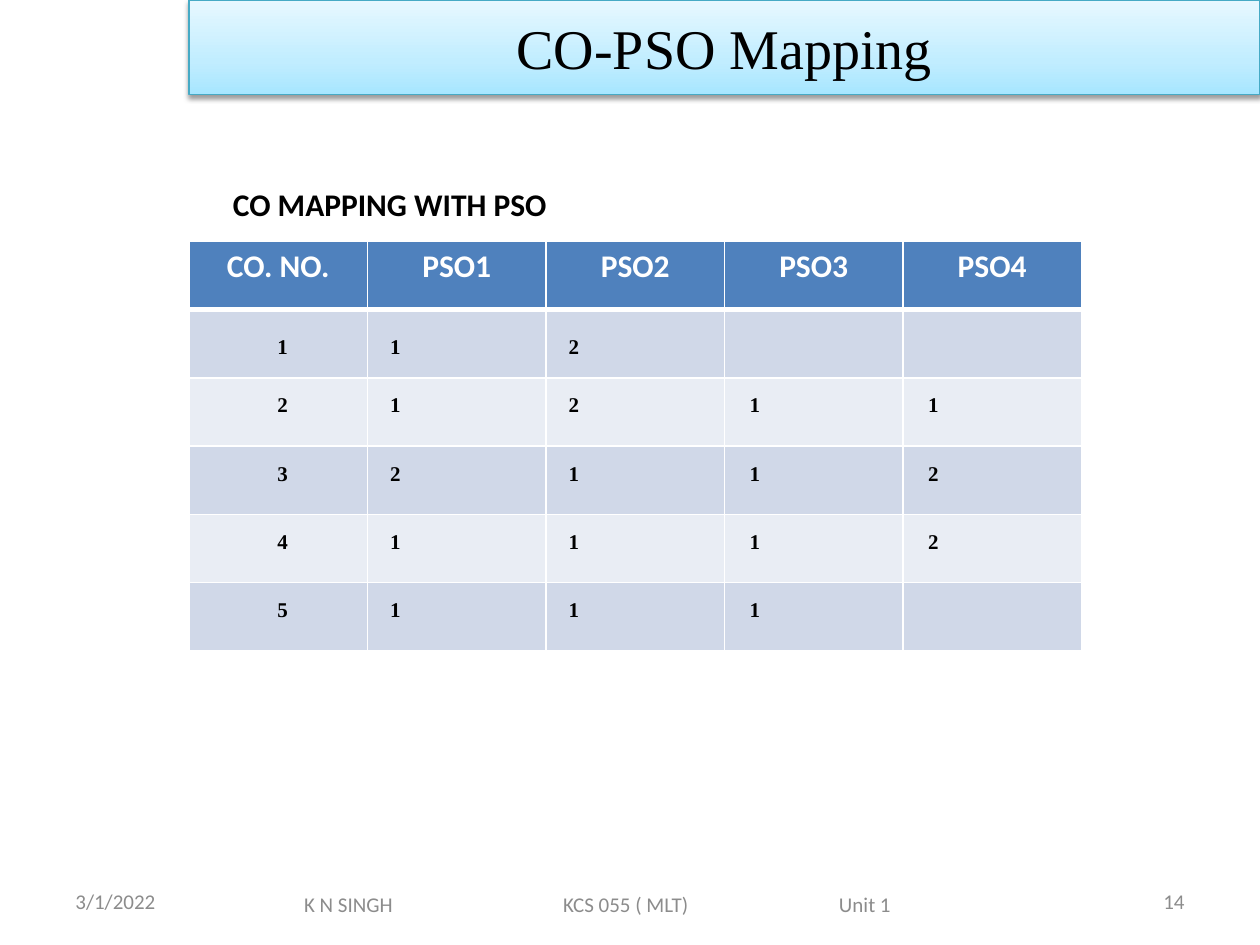
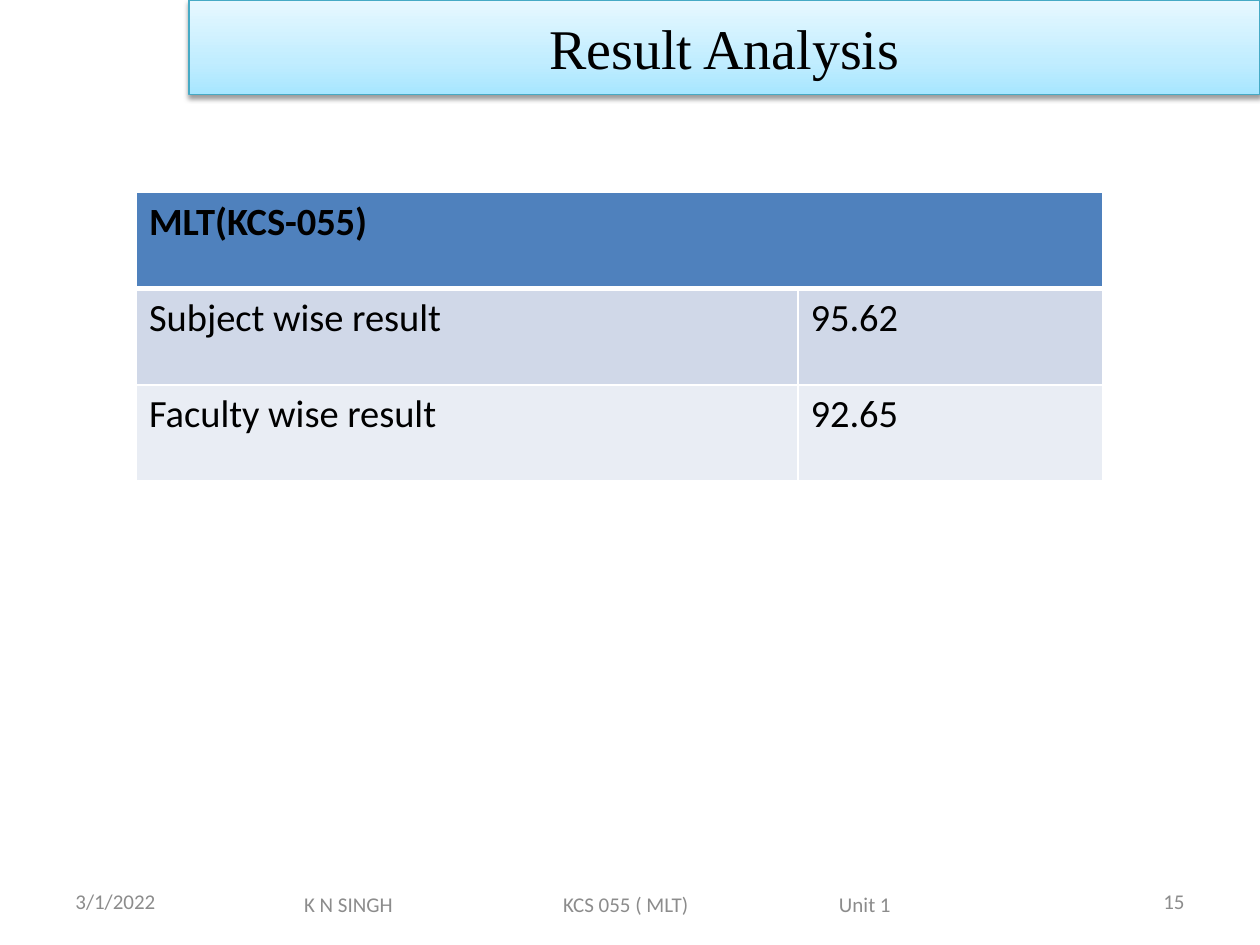
from copy import deepcopy
from dataclasses import dataclass

from lxml import etree
from pptx import Presentation
from pptx.dml.color import RGBColor
from pptx.enum.shapes import MSO_SHAPE
from pptx.enum.text import MSO_ANCHOR, PP_ALIGN
from pptx.oxml.ns import qn
from pptx.util import Pt

RECT = MSO_SHAPE.RECTANGLE
MIDDLE, TOP = MSO_ANCHOR.MIDDLE, MSO_ANCHOR.TOP
LEFT, CENTER, RIGHT = PP_ALIGN.LEFT, PP_ALIGN.CENTER, PP_ALIGN.RIGHT

HEX = {
    "ink": "000000", "white": "FFFFFF", "muted": "8C8C8C", "edge": "46AAC5",
    "head": "4F81BD", "odd": "D0D8E8", "even": "E9EDF4",
    "low": "A7E6FF", "mid": "C1EDFF", "high": "E7F8FF",
}
BAND = ((0, "low"), (0.35, "mid"), (1, "high"))
SANS, SERIF = "Calibri", "Times New Roman"


@dataclass(frozen=True)
class Style:
    size: float
    color: str = "ink"
    face: str = SANS
    bold: bool = False
    align: PP_ALIGN = LEFT


@dataclass(frozen=True)
class Label:
    text: str
    box: tuple[float, float, float, float]
    style: Style
    anchor: MSO_ANCHOR = MIDDLE
    inset: float = 7.2
    tabs: tuple[float, ...] = ()


@dataclass(frozen=True)
class Grid:
    rows: tuple[tuple[str, ...], ...]
    left: float
    top: float
    widths: tuple[float, ...]
    height: float
    head: Style
    body: Style


TITLE = Style(32, face=SERIF, align=CENTER)
NOTE = Style(12, "muted")
PAGE = Style(12, "muted", align=RIGHT)

FOOT = (
    Label("3/1/2022", (36, 500.5, 168, 28.75), NOTE),
    Label("K N SINGH\tKCS 055 ( MLT)\tUnit 1", (108, 504, 468, 25.2), NOTE,
          inset=65.75, tabs=(148, 305.7)),
)
HEADING = Label("CO MAPPING WITH PSO", (126, 102, 327.6, 30),
                Style(18, bold=True), TOP)

MAPPING = Grid(
    (("CO. NO.", "PSO1", "PSO2", "PSO3", "PSO4"),
     ("1", "1", "2", "", ""),
     ("2", "1", "2", "1", "1"),
     ("3", "2", "1", "1", "2"),
     ("4", "1", "1", "1", "2"),
     ("5", "1", "1", "1", "")),
    108, 138, (102,) * 5, 39,
    Style(18, "white", bold=True, align=CENTER),
    Style(12, face=SERIF, bold=True))
RESULT = Grid(
    (("MLT(KCS-055)", ""),
     ("Subject wise result", "95.62"),
     ("Faculty wise result", "92.65")),
    78, 110, (378, 174), 55, Style(22, bold=True), Style(22))


def rgb(name: str) -> RGBColor:
    return RGBColor.from_string(HEX[name])


def write(frame, text: str, style: Style, tabs: tuple = ()) -> None:
    para = frame.paragraphs[0]
    para.text = text
    para.alignment = style.align
    if tabs:
        stops = etree.SubElement(para._p.get_or_add_pPr(), qn("a:tabLst"))
        for pos in tabs:
            etree.SubElement(stops, qn("a:tab"), pos=str(Pt(pos)), algn="l")
    font = para.font
    font.name, font.size, font.bold = style.face, Pt(style.size), style.bold
    font.color.rgb = rgb(style.color)


def put_label(slide, label: Label) -> None:
    frame = slide.shapes.add_textbox(*map(Pt, label.box)).text_frame
    frame.word_wrap = True
    frame.vertical_anchor = label.anchor
    frame.margin_left = Pt(label.inset)
    write(frame, label.text, label.style, label.tabs)


def put_title(slide, text: str) -> None:
    band = slide.shapes.add_shape(RECT, Pt(108), Pt(0), Pt(612), Pt(54))
    band.line.color.rgb = rgb("edge")
    band.line.width = Pt(0.75)
    # Three-stop gradient, running upward
    band.fill.gradient()
    band.fill.gradient_angle = 90
    props = band._element.spPr
    stops = props.find(".//" + qn("a:gsLst"))
    stops.append(deepcopy(stops[0]))
    for stop, (pos, name) in zip(band.fill.gradient_stops, BAND):
        stop.position = pos
        stop.color.rgb = rgb(name)
    # Soft shadow below
    band.shadow.inherit = False
    shade = etree.SubElement(
        props.find(qn("a:effectLst")), qn("a:outerShdw"),
        blurRad=str(Pt(3.1)), dist=str(Pt(1.6)), dir="5400000", rotWithShape="0")
    ink = etree.SubElement(shade, qn("a:srgbClr"), val=HEX["ink"])
    etree.SubElement(ink, qn("a:alpha"), val="38000")
    band.text_frame.vertical_anchor = MIDDLE
    write(band.text_frame, text, TITLE)


def edge_cell(cell, row: int) -> None:
    """Draw white cell borders, with a thick rule under the head row."""
    props = cell._tc.get_or_add_tcPr()
    thick = {"T": row == 1, "B": row == 0}
    for spot, side in enumerate("LRTB"):
        width = Pt(3 if thick.get(side) else 1)
        line = etree.Element(qn(f"a:ln{side}"), w=str(width))
        fill = etree.SubElement(line, qn("a:solidFill"))
        etree.SubElement(fill, qn("a:srgbClr"), val=HEX["white"])
        props.insert(spot, line)


def put_grid(slide, grid: Grid):
    count = len(grid.rows)
    table = slide.shapes.add_table(
        count, len(grid.widths), Pt(grid.left), Pt(grid.top),
        Pt(sum(grid.widths)), Pt(grid.height * count)).table
    for col, width in zip(table.columns, grid.widths):
        col.width = Pt(width)
    for r, texts in enumerate(grid.rows):
        table.rows[r].height = Pt(grid.height)
        for c, text in enumerate(texts):
            cell = table.cell(r, c)
            cell.fill.solid()
            cell.fill.fore_color.rgb = rgb(
                "head" if r == 0 else "odd" if r % 2 else "even")
            edge_cell(cell, r)
            if text:
                write(cell.text_frame, text, grid.body if r else grid.head)
    return table


def place_marks(table) -> None:
    """Set the insets of the mapping levels; the first column is centred."""
    insets = (5, 13, 13, 14.4, 14.4)
    for r in range(1, len(table.rows)):
        for c, inset in enumerate(insets):
            cell = table.cell(r, c)
            cell.margin_left = Pt(inset)
            cell.margin_top = Pt(15 if r == 1 else 9.3)
            cell.margin_right = cell.margin_bottom = Pt(0)
        table.cell(r, 0).text_frame.paragraphs[0].alignment = CENTER


def new_slide(deck, title: str, page: int):
    slide = deck.slides.add_slide(deck.slide_layouts[6])
    put_title(slide, title)
    for label in FOOT:
        put_label(slide, label)
    put_label(slide, Label(str(page), (516, 500.5, 168, 28.75), PAGE))
    return slide


def main() -> None:
    deck = Presentation()
    deck.slide_width, deck.slide_height = Pt(720), Pt(540)

    # Course outcomes against programme outcomes
    slide = new_slide(deck, "CO-PSO Mapping", 14)
    put_label(slide, HEADING)
    place_marks(put_grid(slide, MAPPING))

    # Results by subject and faculty
    slide = new_slide(deck, "Result Analysis", 15)
    table = put_grid(slide, RESULT)
    table.cell(0, 0).merge(table.cell(0, 1))

    deck.save("out.pptx")


if __name__ == "__main__":
    main()
